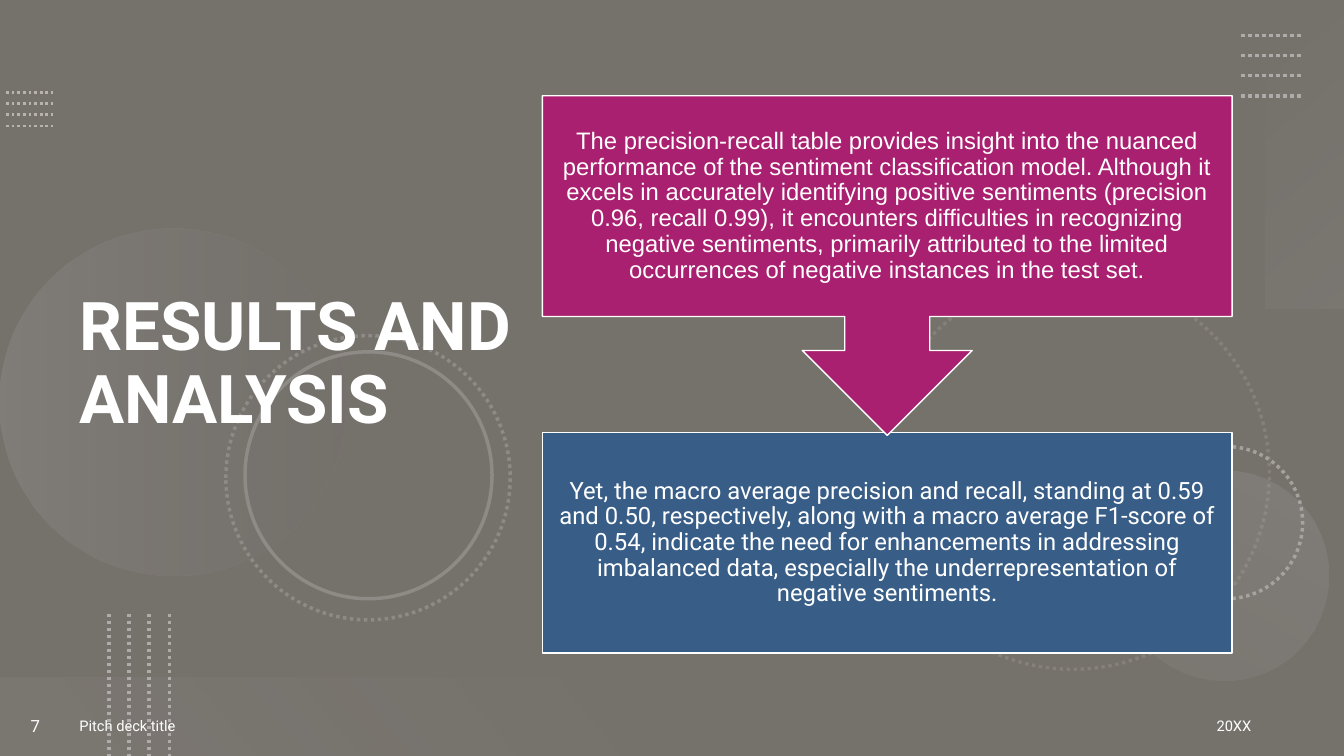
from dataclasses import dataclass

from lxml import etree
from pptx import Presentation
from pptx.dml.color import RGBColor
from pptx.enum.dml import MSO_LINE
from pptx.enum.shapes import MSO_CONNECTOR, MSO_SHAPE
from pptx.enum.text import MSO_ANCHOR, PP_ALIGN
from pptx.oxml.ns import qn
from pptx.util import Inches, Pt

LEFT, CENTER, RIGHT = PP_ALIGN.LEFT, PP_ALIGN.CENTER, PP_ALIGN.RIGHT
MIDDLE = MSO_ANCHOR.MIDDLE
DOTS = MSO_LINE.ROUND_DOT
STRAIGHT = MSO_CONNECTOR.STRAIGHT
RECT, OVAL = MSO_SHAPE.RECTANGLE, MSO_SHAPE.OVAL
DOWN_CALLOUT = MSO_SHAPE.DOWN_ARROW_CALLOUT


@dataclass(frozen=True)
class Theme:
    background: str = "75716B"
    text: str = "FFFFFF"
    finding: str = "AA2070"
    conclusion: str = "385E88"
    ring: str = "8E8B87"
    faint_ring: str = "858179"
    bright_ring: str = "A5A29E"
    dots: str = "AFABAB"
    left_dots: str = "B8B3AC"
    glow: str = "AFABAB"
    shade: str = "767171"
    font: str = "Roboto"
    finding_font: str = "Arial"
    title_size: float = 48
    body_size: float = 17
    number_size: float = 12
    footer_size: float = 10.5


THEME = Theme()


def rgb(value):
    return RGBColor.from_string(value)


def add_plain_shape(s, kind, box):
    sp = s.shapes.add_shape(kind, *map(Inches, box))
    sp.shadow.inherit = False
    sp.fill.background()
    sp.line.fill.background()
    return sp


def add_glow(s, kind, box, stops, angle):
    """Gradient shape; stops are (position %, colour, opacity %)."""
    sp = add_plain_shape(s, kind, box)
    sp.fill.gradient()
    grad = sp.fill._xPr.find(qn("a:gradFill"))
    for child in list(grad):
        grad.remove(child)
    stop_list = etree.SubElement(grad, qn("a:gsLst"))
    for position, color, opacity in stops:
        gs = etree.SubElement(stop_list, qn("a:gs"), pos=str(position * 1000))
        clr = etree.SubElement(gs, qn("a:srgbClr"), val=color)
        etree.SubElement(clr, qn("a:alpha"), val=str(opacity * 1000))
    etree.SubElement(grad, qn("a:lin"), ang=str(angle * 60000), scaled="0")


def add_ring(s, x, y, size, color, dotted=True):
    sp = add_plain_shape(s, OVAL, (x, y, size, size))
    sp.line.color.rgb = rgb(color)
    sp.line.width = Pt(2.5)
    if dotted:
        sp.line.dash_style = DOTS


def add_dot_grid(s, box, color, width, vertical=False, count=4):
    """Evenly spaced dotted lines that fill the box."""
    x, y, w, h = box
    for i in range(count):
        part = i / (count - 1)
        if vertical:
            ends = (x + w * part, y, x + w * part, y + h)
        else:
            ends = (x, y + h * part, x + w, y + h * part)
        line = s.shapes.add_connector(STRAIGHT, *map(Inches, ends))
        line.line.color.rgb = rgb(color)
        line.line.width = Pt(width)
        line.line.dash_style = DOTS
        etree.SubElement(line._element.spPr, qn("a:effectLst"))


def write_text(sp, text, size, align=LEFT, font=THEME.font, bold=False, spacing=None):
    tf = sp.text_frame
    tf.word_wrap = True
    tf.vertical_anchor = MIDDLE
    p = tf.paragraphs[0]
    p.alignment = align
    if spacing:
        p.line_spacing = spacing
    r = p.add_run()
    r.text = text
    r.font.name = font
    r.font.size = Pt(size)
    r.font.bold = bold
    r.font.color.rgb = rgb(THEME.text)


def add_label(s, box, text, size, **style):
    write_text(s.shapes.add_textbox(*map(Inches, box)), text, size, **style)


def add_panel(s, kind, box, fill, text, font):
    sp = add_plain_shape(s, kind, box)
    sp.fill.solid()
    sp.fill.fore_color.rgb = rgb(fill)
    sp.line.color.rgb = rgb(THEME.text)
    sp.line.width = Pt(1)
    tf = sp.text_frame
    tf.margin_left = tf.margin_right = Inches(0.13)
    tf.margin_top = tf.margin_bottom = Inches(0.13)
    write_text(sp, text, THEME.body_size, CENTER, font, spacing=0.9)


def add_decoration(s, box):
    x, y, w, h = box
    right, bottom = x + w, y + h
    add_dot_grid(s, (x + 0.06, y + 0.92, 0.47, 0.33), THEME.left_dots, 2)
    add_ring(s, right - 4.64, y + 2.74, 3.9, THEME.faint_ring)
    add_ring(s, right - 1.92, y + 4.43, 1.51, THEME.bright_ring)
    add_glow(s, OVAL, (x, y + 2.27, 3.44, 3.44),
             [(0, THEME.glow, 20), (100, THEME.shade, 10)], 0)
    add_glow(s, OVAL, (right - 2.23, y + 4.67, 2.08, 2.08),
             [(0, THEME.glow, 10), (100, THEME.glow, 20)], 300)
    add_ring(s, x + 2.24, y + 3.33, 2.82, THEME.ring)
    add_ring(s, x + 2.43, y + 3.49, 2.45, THEME.ring, dotted=False)
    add_glow(s, RECT, (right - 0.78, y, 0.78, 3.06),
             [(0, THEME.glow, 0), (100, THEME.glow, 10)], 50)
    add_dot_grid(s, (right - 1.02, y + 0.35, 0.6, 0.6), THEME.dots, 2.5)
    add_glow(s, RECT, (x, bottom - 0.78, w / 2, 0.78),
             [(10, THEME.glow, 10), (100, THEME.glow, 0)], 320)
    add_dot_grid(s, (x + 1.08, bottom - 1.41, 0.6, 1.41), THEME.dots, 2.5, vertical=True)


def add_footer(s, box):
    x, y, w, h = box
    add_label(s, (x + 0.69, y, 9.1, h), "Pitch deck title", THEME.footer_size)
    add_label(s, (x, y, 0.7, h), "7", THEME.number_size, align=CENTER)
    add_label(s, (x + w - 3.32, y, 2.5, h), "20XX", THEME.footer_size, align=RIGHT)


def add_findings(s, box):
    """Callout whose arrow points down to the conclusion panel."""
    x, y, w, h = box
    panel_h = 2.19
    add_panel(
        s, RECT, (x, y + h - panel_h, w, panel_h), THEME.conclusion,
        "Yet, the macro average precision and recall, standing at 0.59 and 0.50, "
        "respectively, along with a macro average F1-score of 0.54, indicate the need "
        "for enhancements in addressing imbalanced data, especially the "
        "underrepresentation of negative sentiments.", THEME.font)
    add_panel(
        s, DOWN_CALLOUT, (x, y, w, 3.37), THEME.finding,
        "The precision-recall table provides insight into the nuanced performance of "
        "the sentiment classification model. Although it excels in accurately "
        "identifying positive sentiments (precision 0.96, recall 0.99), it encounters "
        "difficulties in recognizing negative sentiments, primarily attributed to the "
        "limited occurrences of negative instances in the test set.", THEME.finding_font)


def main():
    width, height = 13.33, 7.5
    prs = Presentation()
    prs.slide_width, prs.slide_height = Inches(width), Inches(height)
    s = prs.slides.add_slide(prs.slide_layouts[6])
    s.background.fill.solid()
    s.background.fill.fore_color.rgb = rgb(THEME.background)
    add_decoration(s, (0, 0, width, height))
    add_label(s, (0.69, 0.54, 4.59, 6.17), "RESULTS AND ANALYSIS",
              THEME.title_size, bold=True, spacing=0.9)
    add_footer(s, (0, 6.9, width, 0.6))
    add_findings(s, (5.38, 0.95, 6.84, 5.53))
    prs.save("out.pptx")


if __name__ == "__main__":
    main()
